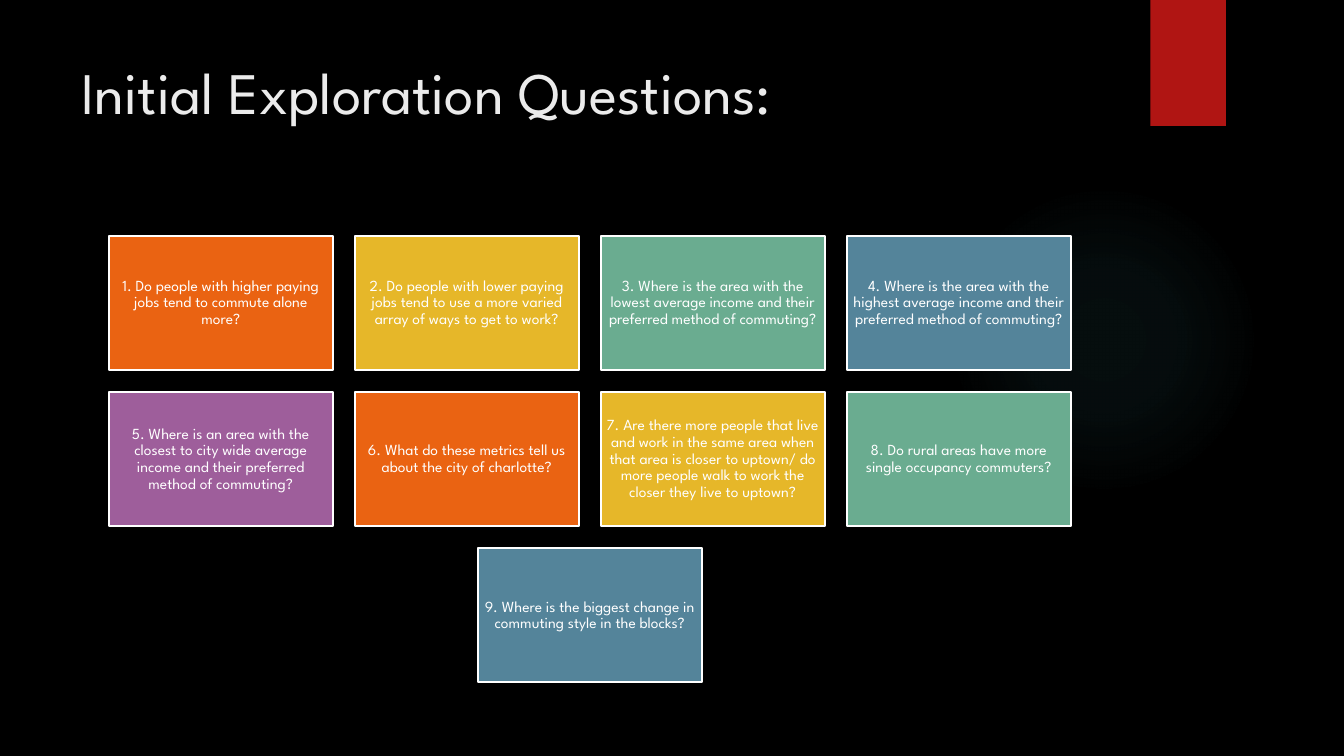
import pptx
import pptx.dml.color
import pptx.enum.shapes
import pptx.enum.text
import pptx.oxml
import pptx.oxml.ns
import pptx.util

TITLE = "Initial Exploration Questions:"
QUESTIONS = [
    "Do people with higher paying jobs tend to commute alone more?",
    "Do people with lower paying jobs tend to use a more varied array of ways to get to work?",
    "Where is the area with the lowest average income and their preferred method of commuting?",
    "Where is the area with the highest average income and their preferred method of commuting?",
    "Where is an area with the closest to city wide average income and their preferred method of commuting?",
    "What do these metrics tell us about the city of charlotte?",
    "Are there more people that live and work in the same area when that area is closer to uptown/ do more people walk to work the closer they live to uptown?",
    "Do rural areas have more single occupancy commuters?",
    "Where is the biggest change in commuting style in the blocks?",
]
COLORS = {"background": "000000", "title": "EBEBEB", "white": "FFFFFF",
          "ribbon": "B01513", "glow": "50B9C1", "orange": "EA6312",
          "yellow": "E6B729", "green": "6AAC90", "blue": "54849A",
          "purple": "9E5E9B"}
CARD_CYCLE = ["orange", "yellow", "green", "blue", "purple"]
GLOW_STOPS = [(0, 7), (36, 6), (69, 0)]  # position and opacity, percent
FONT = "League Spartan"

SLIDE_W, SLIDE_H = 13.33, 7.5
COLUMNS = 4
GRID_LEFT, GRID_TOP = 1.08, 2.34
CARD_W, CARD_H = 2.22, 1.33
GAP = 0.22

Inches, Pt = pptx.util.Inches, pptx.util.Pt
SHAPES = pptx.enum.shapes.MSO_SHAPE
ANCHOR = pptx.enum.text.MSO_ANCHOR
NSDECL = pptx.oxml.ns.nsdecls("a")


def rgb(name):
    return pptx.dml.color.RGBColor.from_string(COLORS[name])


def add_block(slide, kind, box, color):
    block = slide.shapes.add_shape(kind, *map(Inches, box))
    block.shadow.inherit = False
    block.fill.solid()
    block.fill.fore_color.rgb = rgb(color)
    block.line.fill.background()
    return block


def write(frame, text, size, color, anchor):
    frame.word_wrap = True
    frame.vertical_anchor = anchor
    paragraph = frame.paragraphs[0]
    run = paragraph.add_run()
    run.text = text
    run.font.name = FONT
    run.font.size = Pt(size)
    run.font.color.rgb = rgb(color)
    return paragraph


def add_glow(slide):
    glow = add_block(slide, SHAPES.OVAL, (9.41, 1.83, 3.08, 3.08), "glow")
    stops = "".join(
        f'<a:gs pos="{place * 1000}"><a:srgbClr val="{COLORS["glow"]}">'
        f'<a:alpha val="{opacity * 1000}"/></a:srgbClr></a:gs>'
        for place, opacity in GLOW_STOPS)
    gradient = pptx.oxml.parse_xml(
        f'<a:gradFill {NSDECL}><a:gsLst>{stops}</a:gsLst><a:path path="circle">'
        '<a:fillToRect l="50000" t="50000" r="50000" b="50000"/></a:path></a:gradFill>')
    properties = glow.element.spPr
    properties.replace(properties.find(pptx.oxml.ns.qn("a:solidFill")), gradient)


def add_ribbon(slide):
    ribbon = add_block(slide, SHAPES.RECTANGLE, (11.41, 0, 0.75, 1.25), "ribbon")
    effects = ribbon.element.spPr.find(pptx.oxml.ns.qn("a:effectLst"))
    effects.append(pptx.oxml.parse_xml(
        f'<a:outerShdw {NSDECL} blurRad="{Pt(3)}" dist="{Pt(2)}" dir="5400000">'
        '<a:srgbClr val="000000"><a:alpha val="45000"/></a:srgbClr></a:outerShdw>'))


def add_card(slide, index, question):
    row, column = divmod(index, COLUMNS)
    in_row = min(COLUMNS, len(QUESTIONS) - row * COLUMNS)
    column += (COLUMNS - in_row) / 2  # a short row is centred
    left = GRID_LEFT + column * (CARD_W + GAP)
    top = GRID_TOP + row * (CARD_H + GAP)
    card = add_block(slide, SHAPES.RECTANGLE, (left, top, CARD_W, CARD_H),
                     CARD_CYCLE[index % len(CARD_CYCLE)])
    card.line.color.rgb = rgb("white")
    card.line.width = Pt(1.5)
    frame = card.text_frame
    frame.margin_left = frame.margin_right = Inches(0.05)
    frame.margin_top = frame.margin_bottom = Inches(0.05)
    paragraph = write(frame, f"{index + 1}. {question}", 11, "white", ANCHOR.MIDDLE)
    paragraph.alignment = pptx.enum.text.PP_ALIGN.CENTER
    paragraph.line_spacing = 0.9


def main():
    deck = pptx.Presentation()
    deck.slide_width, deck.slide_height = Inches(SLIDE_W), Inches(SLIDE_H)
    slide = deck.slides.add_slide(deck.slide_layouts[6])
    slide.background.fill.solid()
    slide.background.fill.fore_color.rgb = rgb("background")

    add_glow(slide)
    add_ribbon(slide)
    title = slide.shapes.add_textbox(*map(Inches, (0.71, 0.5, 10.29, 1.53)))
    write(title.text_frame, TITLE, 42, "title", ANCHOR.TOP)
    for index, question in enumerate(QUESTIONS):
        add_card(slide, index, question)
    deck.save("out.pptx")


if __name__ == "__main__":
    main()
